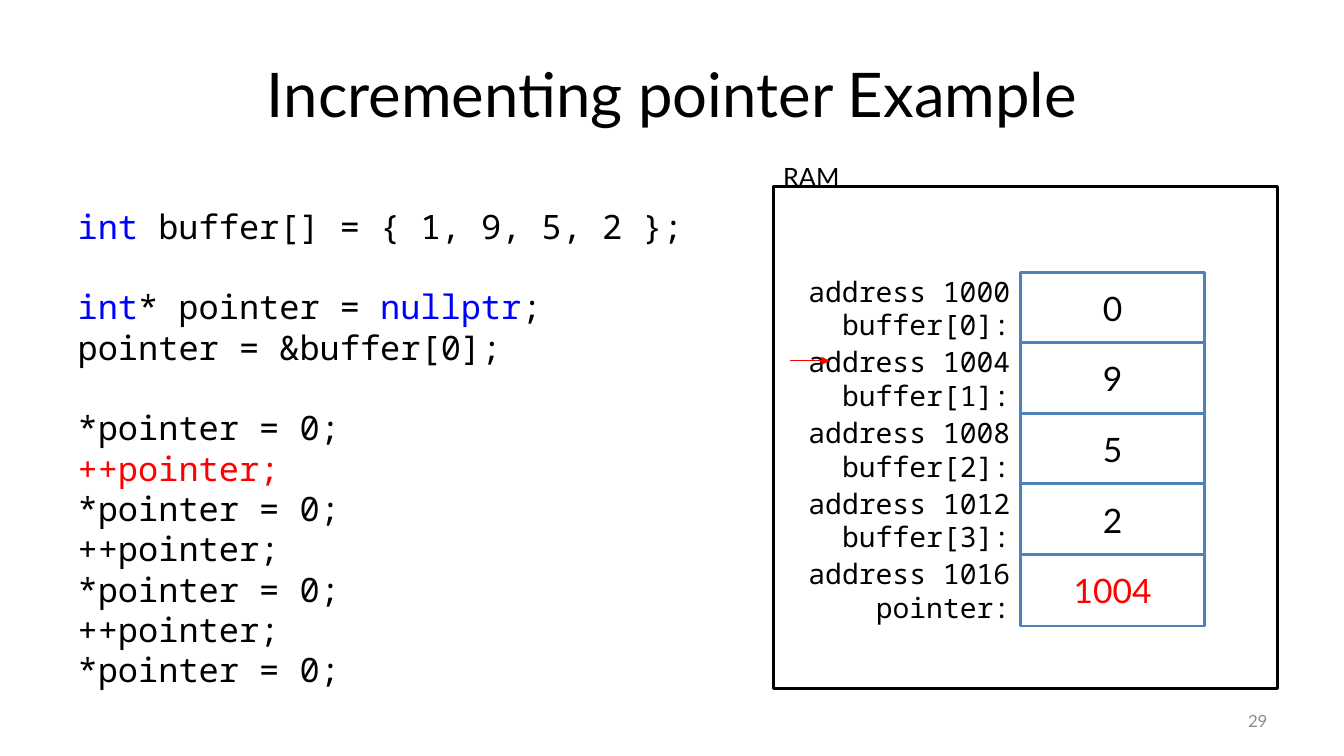
from dataclasses import dataclass
from lxml.etree import SubElement as Sub
from pptx import Presentation
from pptx.dml.color import RGBColor as Rgb
from pptx.enum.shapes import MSO_CONNECTOR as Link, MSO_SHAPE as Form
from pptx.enum.text import MSO_ANCHOR as Anchor, MSO_AUTO_SIZE as Fit, PP_ALIGN as Align
from pptx.oxml.ns import qn
from pptx.util import Inches, Pt

INK = {"black": "000000", "white": "FFFFFF", "gray": "8C8C8C",
       "blue": "0000FF", "red": "FF0000", "edge": "4F81BD"}
SANS, MONO = "Lato", "Noto Sans Mono"
ROW = 0.7
EDGE = 10.12

Run = tuple[str, str]


@dataclass
class Line:
    runs: list[Run]
    gap: float = 0


@dataclass
class Cell:
    name: str
    value: str
    left: float
    ink: str = "black"


CODE = [
    Line([("int", "blue"), (" buffer[] = { 1, 9, 5, 2 };", "black")]),
    Line([("int", "blue"), ("* pointer = ", "black"),
          ("nullptr", "blue"), (";", "black")], 28.8),
    Line([("pointer = &buffer[0];", "black")]),
    Line([("*pointer = 0;", "black")], 28.8),
    Line([("++pointer;", "red")]),
    Line([("*pointer = 0;", "black")]),
    Line([("++pointer;", "black")]),
    Line([("*pointer = 0;", "black")]),
    Line([("++pointer;", "black")]),
    Line([("*pointer = 0;", "black")]),
]
CELLS = [
    Cell("buffer[0]:", "0", 7.15),
    Cell("buffer[1]:", "9", 7.33),
    Cell("buffer[2]:", "5", 6.87),
    Cell("buffer[3]:", "2", 7.33),
    Cell("pointer:", "1004", 6.87, "red"),
]


def color(name: str) -> Rgb:
    return Rgb.from_string(INK[name])


def place(shape, left: float, top: float, width: float, height: float) -> None:
    box = {"left": left, "top": top, "width": width, "height": height}
    for key, value in box.items():
        setattr(shape, key, Inches(value))


def write(shape, lines: list[Line], size: float, font: str = SANS,
          align=Align.LEFT, anchor=Anchor.MIDDLE) -> None:
    frame = shape.text_frame
    look = {"word_wrap": True, "auto_size": Fit.NONE, "vertical_anchor": anchor}
    for key, value in look.items():
        setattr(frame, key, value)
    for num, line in enumerate(lines):
        para = frame.add_paragraph() if num else frame.paragraphs[0]
        form = {"alignment": align, "space_before": Pt(line.gap),
                "space_after": Pt(0),
                "line_spacing": Pt(size * 1.2) if font == MONO else 1.0}
        for key, value in form.items():
            setattr(para, key, value)
        for text, ink in line.runs:
            run = para.add_run()
            run.text = text
            for key, value in {"name": font, "size": Pt(size)}.items():
                setattr(run.font, key, value)
            run.font.color.rgb = color(ink)


def plain(shape) -> None:
    """Strip bullets and indents from a body placeholder."""
    for para in shape.text_frame.paragraphs:
        props = para._p.get_or_add_pPr()
        for key in ("marL", "indent"):
            props.set(key, "0")
        Sub(props, qn("a:buNone"))


def note(slide, box: tuple, lines: list[Line], size: float, **form) -> None:
    write(slide.shapes.add_textbox(*map(Inches, box)), lines, size, **form)


def block(slide, box: tuple, edge: str):
    shape = slide.shapes.add_shape(Form.RECTANGLE, *map(Inches, box))
    shape.shadow.inherit = False
    shape.fill.solid()
    shape.fill.fore_color.rgb = color("white")
    shape.line.color.rgb = color(edge)
    shape.line.width = Pt(2)
    return shape


def arrow(slide, start: tuple, end: tuple) -> None:
    link = slide.shapes.add_connector(Link.STRAIGHT, *map(Inches, start + end))
    link.line.color.rgb = color("red")
    link.line.width = Pt(0.75)
    Sub(link.line._get_or_add_ln(), qn("a:tailEnd"), type="triangle")
    Sub(link._element.spPr, qn("a:effectLst"))


def main() -> None:
    deck = Presentation()
    deck.slide_width, deck.slide_height = Inches(13.33), Inches(7.5)
    slide = deck.slides.add_slide(deck.slide_layouts[1])
    title, body = slide.placeholders

    place(title, 0.67, 0.3, 12, 1.25)
    write(title, [Line([("Incrementing pointer Example", "black")])], 44,
          align=Align.CENTER)
    place(body, 0.67, 1.99, 6.67, 4.95)
    write(body, CODE, 24, font=MONO, anchor=Anchor.TOP)
    plain(body)
    note(slide, (9.56, 6.95, 3.11, 0.4), [Line([("29", "gray")])], 12,
         align=Align.RIGHT)

    ram = block(slide, (7.67, 1.85, 5, 4.98), "black")
    # The code box reaches past the left edge of the frame.
    ram._element.addnext(body._element)
    note(slide, (7.67, 1.55, 1.86, 0.4), [Line([("RAM", "black")])], 18,
         anchor=Anchor.TOP)

    for num, cell in enumerate(CELLS):
        top = 2.7 + num * ROW
        shape = block(slide, (EDGE, top, 1.83, 0.71), "edge")
        write(shape, [Line([(cell.value, cell.ink)])], 24, align=Align.CENTER)
        label = [Line([(f"address {1000 + 4 * num}", "black")]),
                 Line([(cell.name, "black")])]
        note(slide, (cell.left, top - 0.03, EDGE - cell.left, 0.77), label, 20,
             font=MONO, align=Align.RIGHT)

    arrow(slide, (7.84, 3.58), (8.23, 3.58))
    deck.save("out.pptx")


if __name__ == "__main__":
    main()
